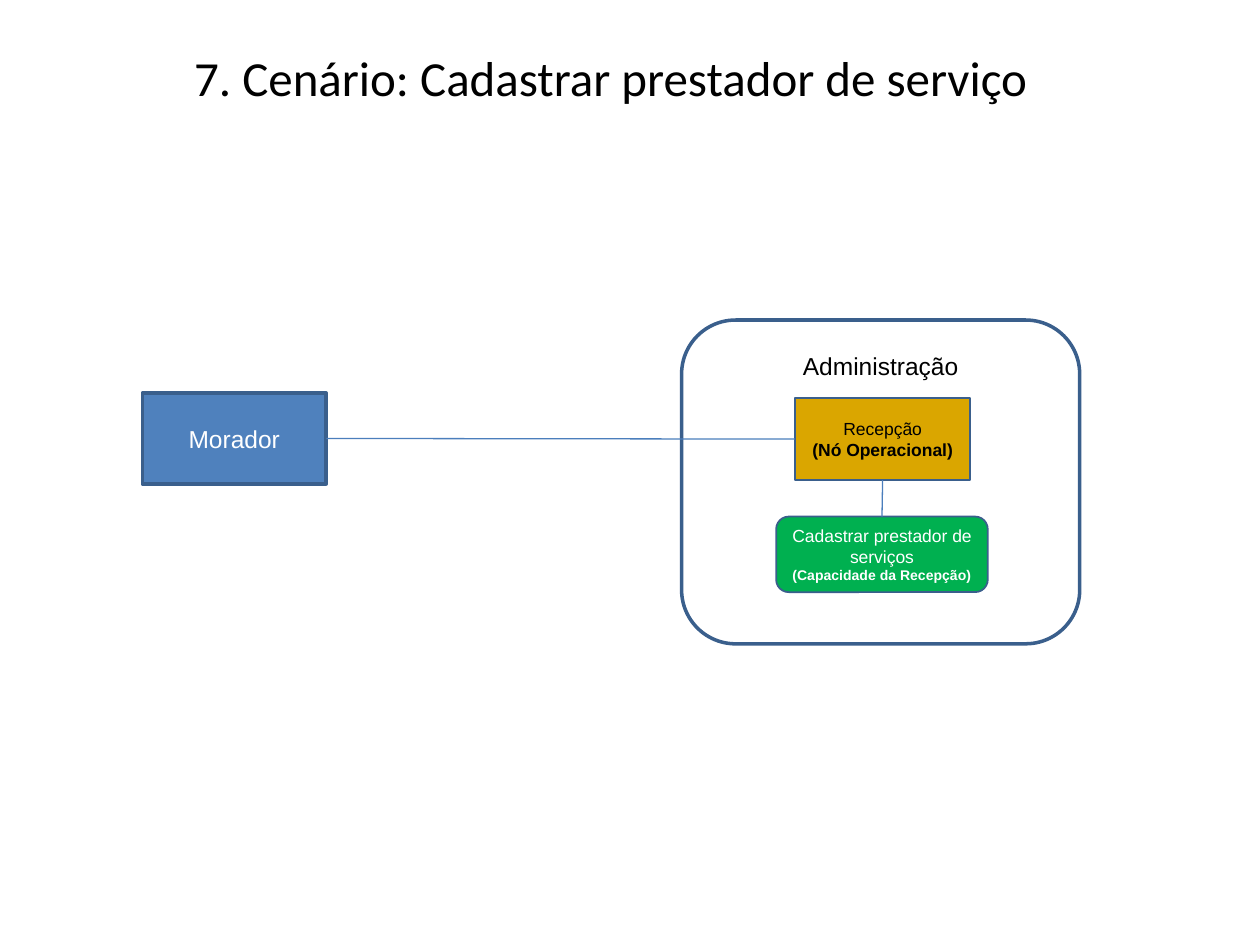
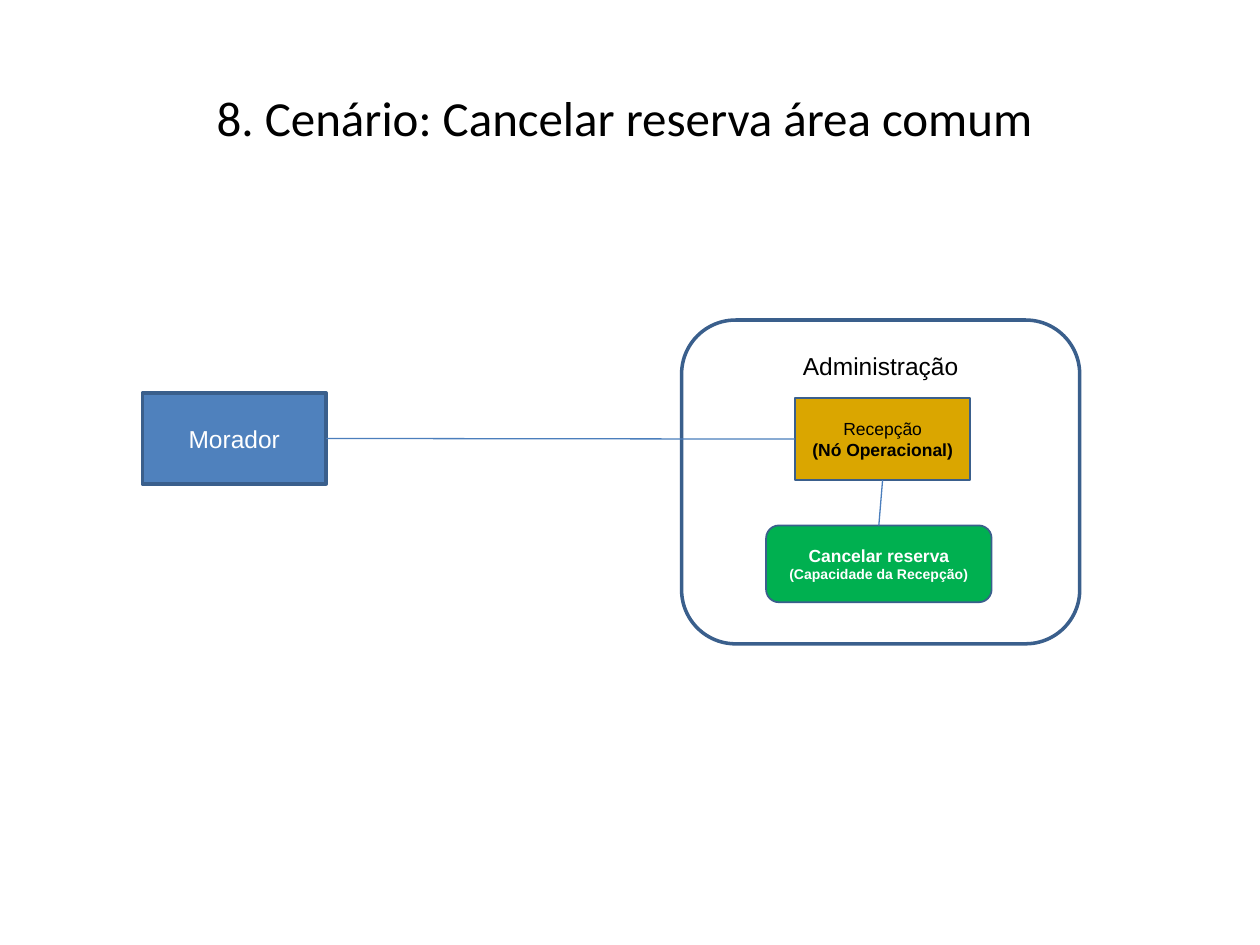
from lxml.etree import SubElement
from pptx import Presentation
from pptx.dml.color import RGBColor
from pptx.enum.shapes import MSO_CONNECTOR, MSO_SHAPE
from pptx.enum.text import MSO_ANCHOR as Anchor, PP_ALIGN as Align
from pptx.oxml.ns import qn
from pptx.util import Inches, Pt

# Content: each line of text is (wording, size, bold); boxes are left, top, width, height
SCENARIOS = [
    {
        "title": "7. Cenário: Cadastrar prestador de serviço",
        "title_box": (0.39, 0.38, 9, 1.25),
        "title_anchor": Anchor.TOP,
        "capability": [("Cadastrar prestador de serviços", 10, False),
                       ("(Capacidade da Recepção)", 8, True)],
        "capability_box": (6.16, 4.1, 1.68, 0.6),
    },
    {
        "title": "8. Cenário: Cancelar reserva área comum",
        "title_box": (0.5, 0.3, 9, 1.25),
        "title_anchor": Anchor.MIDDLE,
        "capability": [("Cancelar reserva", 10, True),
                       ("(Capacidade da Recepção)", 8, True)],
        "capability_box": (6.08, 4.17, 1.79, 0.61),
    },
]
RESIDENT = [("Morador", 14, False)]
ADMINISTRATION = [("Administração", 14, False)]
RECEPTION = [("Recepção", 10, False), ("(Nó Operacional)", 10, True)]

RESIDENT_BOX = (1.13, 3.12, 1.46, 0.72)
ADMINISTRATION_BOX = (5.41, 2.54, 3.16, 2.57)
RECEPTION_BOX = (6.31, 3.16, 1.39, 0.65)

# Shared style
BLACK, WHITE = "000000", "FFFFFF"
BLUE, GOLD, GREEN = "4F81BD", "DAA600", "00B050"
OUTLINE, LINK = "3A5F8C", "4B7EBC"
TOP, LEFT, BOTTOM, RIGHT = range(4)


def color(hex_code):
    return RGBColor.from_string(hex_code)


def write(frame, lines, font="Arial", ink=BLACK, anchor=Anchor.MIDDLE):
    frame.word_wrap = True
    frame.vertical_anchor = anchor
    for number, (wording, size, bold) in enumerate(lines):
        paragraph = frame.add_paragraph() if number else frame.paragraphs[0]
        paragraph.alignment = Align.CENTER
        run = paragraph.add_run()
        run.text = wording
        run.font.name = font
        run.font.size = Pt(size)
        run.font.bold = bold
        run.font.color.rgb = color(ink)


def add_node(slide, box, lines, fill=None, weight=1, rounded=False, **text_format):
    kind = MSO_SHAPE.ROUNDED_RECTANGLE if rounded else MSO_SHAPE.RECTANGLE
    node = slide.shapes.add_shape(kind, *map(Inches, box))
    node.shadow.inherit = False
    if fill:
        node.fill.solid()
        node.fill.fore_color.rgb = color(fill)
    else:
        node.fill.background()
    node.line.color.rgb = color(OUTLINE)
    node.line.width = Pt(weight)
    write(node.text_frame, lines, **text_format)
    return node


def link(slide, start, start_side, end, end_side):
    connector = slide.shapes.add_connector(MSO_CONNECTOR.STRAIGHT, 0, 0, 0, 0)
    connector.begin_connect(start, start_side)
    connector.end_connect(end, end_side)
    connector.line.color.rgb = color(LINK)
    connector.line.width = Pt(0.75)
    SubElement(connector._element.spPr, qn("a:effectLst"))


def add_title(slide, wording, box, anchor):
    title = slide.shapes.title
    title.left, title.top, title.width, title.height = map(Inches, box)
    frame = title.text_frame
    frame.margin_right = Inches(0.19)
    if anchor == Anchor.TOP:
        frame.margin_top = 0
    write(frame, [(wording, 28, False)], font="Calibri", anchor=anchor)


def add_scenario(deck, scenario):
    slide = deck.slides.add_slide(deck.slide_layouts[5])
    add_title(slide, scenario["title"], scenario["title_box"], scenario["title_anchor"])

    # Resident, and the administration that holds the reception
    resident = add_node(slide, RESIDENT_BOX, RESIDENT, fill=BLUE, weight=2, ink=WHITE)
    administration = add_node(slide, ADMINISTRATION_BOX, ADMINISTRATION,
                              weight=2, rounded=True, anchor=Anchor.TOP)
    administration.text_frame.margin_top = Inches(0.12)
    reception = add_node(slide, RECEPTION_BOX, RECEPTION, fill=GOLD)
    link(slide, resident, RIGHT, reception, LEFT)

    # Capability of the reception
    capability = add_node(slide, scenario["capability_box"], scenario["capability"],
                          fill=GREEN, rounded=True, ink=WHITE)
    link(slide, reception, BOTTOM, capability, TOP)


def main():
    deck = Presentation()
    deck.slide_width, deck.slide_height = Inches(10), Inches(7.5)
    for scenario in SCENARIOS:
        add_scenario(deck, scenario)
    deck.save("out.pptx")


if __name__ == "__main__":
    main()
